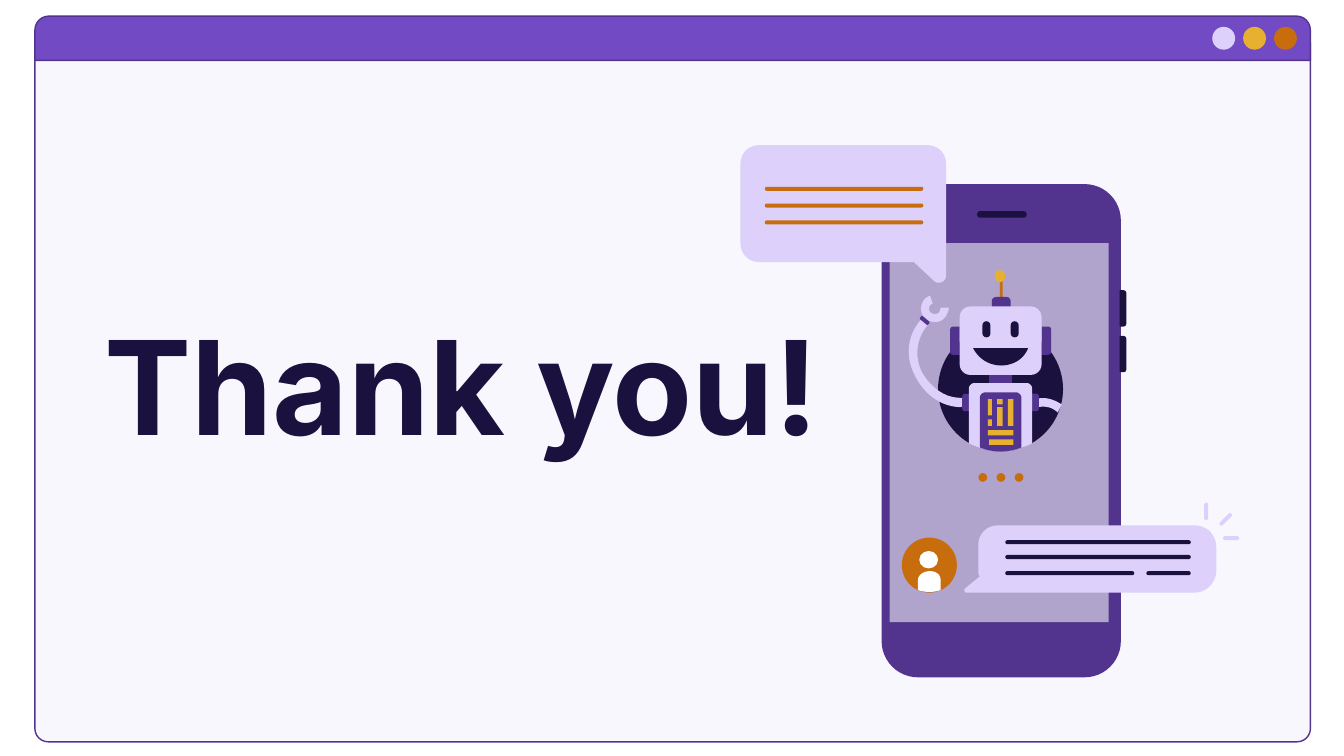
from lxml.etree import SubElement
from pptx import Presentation
from pptx.dml.color import RGBColor
from pptx.enum.shapes import MSO_SHAPE as Preset
from pptx.enum.text import MSO_ANCHOR as Anchor, PP_ALIGN as Align
from pptx.oxml.ns import qn
from pptx.util import Inches, Pt

WHITE = RGBColor(0xFF, 0xFF, 0xFF)
LILAC = RGBColor(0xDD, 0xD0, 0xFB)
VIOLET = RGBColor(0x72, 0x4A, 0xC3)
PURPLE = RGBColor(0x52, 0x34, 0x8F)
NAVY = RGBColor(0x1A, 0x11, 0x3F)
ORANGE = RGBColor(0xC7, 0x6D, 0x0D)
GOLD = RGBColor(0xE7, 0xB0, 0x2F)
CURVE_STEPS = 12


def paint(part, color, opacity=None, border=None):
    """Give a shape a flat fill, an optional border and no shadow."""
    part.shadow.inherit = False
    part.fill.solid()
    part.fill.fore_color.rgb = color
    if opacity is not None:
        tint = part.fill._xPr.find(qn("a:solidFill"))[0]
        SubElement(tint, qn("a:alpha"), val=str(opacity * 1000))
    if border is None:
        part.line.fill.background()
    else:
        part.line.color.rgb = border
        part.line.width = Pt(0.75)


def add_preset(slide, preset, box, color, corners=(), turn=0, **finish):
    """Draw a preset shape in a box of left, top, width and height."""
    part = slide.shapes.add_shape(preset, *map(Inches, box))
    for index, corner in enumerate(corners):
        part.adjustments[index] = corner
    part.rotation = turn
    paint(part, color, **finish)


def add_rect(slide, box, color, **finish):
    """Draw a plain rectangle."""
    add_preset(slide, Preset.RECTANGLE, box, color, **finish)


def add_dot(slide, box, color):
    """Draw a filled ellipse."""
    add_preset(slide, Preset.OVAL, box, color)


def add_rounded(slide, box, color, radius=None, turn=0):
    """Draw a rounded rectangle, fully rounded unless a radius is given."""
    corner = 0.5 if radius is None else radius / min(box[2:])
    add_preset(slide, Preset.ROUNDED_RECTANGLE, box, color, (corner,), turn)


def add_tab(slide, box, color, turn, radius=0.02):
    """Draw a tab rounded on one side, turned about the centre of its box."""
    left, top, width, height = box
    if turn in (90, 270):
        left += (width - height) / 2
        top += (height - width) / 2
        width, height = height, width
    add_preset(slide, Preset.ROUND_2_SAME_RECTANGLE, (left, top, width, height),
               color, (radius / min(width, height), 0), turn)


def bezier(start, controls):
    """Return points along a cubic curve given by six control values."""
    knots = [start, *zip(controls[::2], controls[1::2])]
    points = []
    for step in range(1, CURVE_STEPS + 1):
        t = step / CURVE_STEPS
        weights = ((1 - t) ** 3, 3 * t * (1 - t) ** 2, 3 * t * t * (1 - t), t ** 3)
        points.append(tuple(sum(w * knot[axis] for w, knot in zip(weights, knots))
                            for axis in (0, 1)))
    return points


def add_outline(slide, color, *segments):
    """Draw a closed outline of points (two values) and curves (six values)."""
    points = [segments[0]]
    for segment in segments[1:]:
        points += [segment] if len(segment) == 2 else bezier(points[-1], segment)
    corners = [(Inches(x), Inches(y)) for x, y in points]
    builder = slide.shapes.build_freeform(*corners[0])
    builder.add_line_segments(corners[1:], close=True)
    paint(builder.convert_to_shape(), color)


def add_text(slide, box, text, size, color, font="Inter", bold=False):
    """Write one left-aligned line of text."""
    frame = slide.shapes.add_textbox(*map(Inches, box)).text_frame
    frame.word_wrap = True
    frame.vertical_anchor = Anchor.TOP
    frame.margin_left = frame.margin_right = Inches(0.1)
    frame.margin_top = frame.margin_bottom = Inches(0.1)
    paragraph = frame.paragraphs[0]
    paragraph.alignment = Align.LEFT
    run = paragraph.add_run()
    run.text = text
    run.font.name, run.font.size, run.font.bold = font, Pt(size), bold
    run.font.color.rgb = color


def add_window(slide):
    """Draw the browser window with its title bar and three buttons."""
    for box, color, corners, opacity in (
            ((0.26, 0.32, 9.49, 5.2), LILAC, (0, 0.019), 15),
            ((0.26, 0.12, 9.49, 0.33), VIOLET, (0.312, 0), None)):
        add_preset(slide, Preset.ROUND_2_SAME_RECTANGLE, box, color, corners,
                   opacity=opacity, border=PURPLE)
    for index, color in enumerate((LILAC, GOLD, ORANGE)):
        add_dot(slide, (9.02 + 0.23 * index, 0.2, 0.17, 0.17), color)


def add_phone(slide):
    """Draw the phone with its side keys, speaker, screen and typing dots."""
    add_rounded(slide, (6.56, 1.37, 1.78, 3.67), PURPLE, 0.27)
    for top in (2.16, 2.5):
        add_tab(slide, (8.33, top, 0.05, 0.27), NAVY, 90)
    add_rounded(slide, (7.27, 1.57, 0.37, 0.05), NAVY)
    add_rect(slide, (6.62, 1.81, 1.63, 2.82), WHITE, opacity=55)
    for index in range(3):
        add_dot(slide, (7.28 + 0.135 * index, 3.52, 0.065, 0.065), ORANGE)


def add_reply(slide):
    """Draw the lower speech bubble with its lines and sparks."""
    add_outline(slide, LILAC, (8.89, 3.91), (7.42, 3.91),
                (7.35, 3.91, 7.28, 3.97, 7.28, 4.05), (7.28, 4.27), (7.29, 4.29),
                (7.18, 4.38), (7.17, 4.39, 7.18, 4.41, 7.19, 4.41), (8.89, 4.41),
                (8.98, 4.41, 9.05, 4.33, 9.05, 4.25), (9.05, 4.07),
                (9.05, 3.98, 8.98, 3.91, 8.89, 3.91))
    for box, turn in (((8.96, 3.74, 0.03, 0.13), 0), ((9.06, 3.85, 0.12, 0.03), 315),
                      ((9.1, 3.99, 0.12, 0.03), 0)):
        add_rounded(slide, box, LILAC, turn=turn)
    for left, top, width in ((7.48, 4.02, 1.38), (7.48, 4.13, 1.38),
                             (7.48, 4.25, 0.96), (8.53, 4.25, 0.33)):
        add_rounded(slide, (left, top, width, 0.03), NAVY)


def add_robot_head(slide):
    """Draw the neck, antenna, ears, head and face over the round backdrop."""
    add_dot(slide, (6.98, 2.43, 0.93, 0.93), NAVY)
    add_rect(slide, (7.36, 2.78, 0.17, 0.09), PURPLE)
    add_rect(slide, (7.44, 2.06, 0.02, 0.17), ORANGE)
    add_dot(slide, (7.4, 2.01, 0.08, 0.09), GOLD)
    add_tab(slide, (7.38, 2.21, 0.14, 0.08), PURPLE, 0, 0.03)
    for left, turn in ((7.07, 270), (7.75, 90)):
        add_tab(slide, (left, 2.43, 0.07, 0.21), PURPLE, turn)
    add_rounded(slide, (7.14, 2.28, 0.61, 0.51), LILAC, 0.08)
    for left in (7.31, 7.52):
        add_rounded(slide, (left, 2.39, 0.06, 0.12), NAVY)
    add_outline(slide, NAVY, (7.65, 2.59), (7.62, 2.67, 7.54, 2.72, 7.45, 2.72),
                (7.36, 2.72, 7.28, 2.67, 7.24, 2.59))


def add_robot_body(slide):
    """Draw the waving arm, the other arm, the torso and its panel."""
    add_outline(slide, LILAC, (7.15, 3.03), (7.01, 3.03, 6.88, 2.94, 6.81, 2.8),
                (6.73, 2.65, 6.75, 2.49, 6.86, 2.37), (6.91, 2.41),
                (6.82, 2.51, 6.8, 2.65, 6.86, 2.77),
                (6.93, 2.89, 7.04, 2.97, 7.17, 2.96), (7.17, 3.02))
    add_outline(slide, LILAC, (6.9, 2.38), (6.85, 2.35, 6.84, 2.29, 6.87, 2.24),
                (6.88, 2.22, 6.9, 2.21, 6.92, 2.2), (6.94, 2.26),
                (6.93, 2.26, 6.93, 2.27, 6.92, 2.27),
                (6.91, 2.29, 6.91, 2.32, 6.93, 2.33),
                (6.95, 2.34, 6.98, 2.34, 6.99, 2.32), (7, 2.29), (7.06, 2.29),
                (7.06, 2.31, 7.05, 2.33, 7.04, 2.35),
                (7.01, 2.4, 6.95, 2.41, 6.9, 2.38))
    add_rounded(slide, (6.84, 2.37, 0.08, 0.03), PURPLE, 0.01, turn=40)
    add_tab(slide, (7.16, 2.93, 0.07, 0.13), PURPLE, 270)
    add_outline(slide, LILAC, (7.71, 2.97), (7.72, 3.03),
                (7.78, 3.02, 7.83, 3.03, 7.87, 3.07), (7.9, 3.01),
                (7.84, 2.97, 7.77, 2.95, 7.71, 2.97))
    add_tab(slide, (7.66, 2.93, 0.07, 0.13), PURPLE, 90)
    for left, right, top, side, sag, color in (
            (7.21, 7.68, 2.85, 3.3, 3.38, LILAC), (7.29, 7.6, 2.92, 3.33, 3.37, PURPLE)):
        third = (right - left) / 3
        add_outline(slide, color, (right - 0.04, top), (left + 0.04, top),
                    (left + 0.02, top, left, top + 0.02, left, top + 0.04), (left, side),
                    (left + third, sag, right - third, sag, right, side),
                    (right, top + 0.04),
                    (right, top + 0.02, right - 0.02, top, right - 0.04, top))
    for bar in ((7.5, 2.97, 0.04, 0.2), (7.42, 2.97, 0.04, 0.04), (7.42, 3.03, 0.04, 0.14),
                (7.35, 2.97, 0.03, 0.12), (7.35, 3.12, 0.03, 0.05),
                (7.35, 3.2, 0.19, 0.04), (7.36, 3.27, 0.18, 0.04)):
        add_rect(slide, bar, GOLD)


def add_message(slide):
    """Draw the upper speech bubble with its three lines."""
    add_outline(slide, LILAC, (6.9, 1.08), (5.65, 1.08),
                (5.57, 1.08, 5.51, 1.14, 5.51, 1.22), (5.51, 1.81),
                (5.51, 1.89, 5.57, 1.95, 5.65, 1.95), (6.8, 1.95), (6.95, 2.09),
                (6.98, 2.12, 7.04, 2.1, 7.04, 2.05), (7.04, 1.22),
                (7.04, 1.14, 6.98, 1.08, 6.9, 1.08))
    for index in range(3):
        add_rounded(slide, (5.69, 1.39 + 0.125 * index, 1.18, 0.03), ORANGE)


def add_user(slide):
    """Draw the round user badge."""
    add_dot(slide, (6.71, 4, 0.41, 0.41), ORANGE)
    add_dot(slide, (6.84, 4.1, 0.14, 0.13), WHITE)
    add_outline(slide, WHITE, (6.92, 4.25), (6.87, 4.25, 6.83, 4.28, 6.83, 4.32),
                (6.83, 4.39), (6.88, 4.41, 6.95, 4.41, 7, 4.39), (7, 4.32),
                (7, 4.28, 6.97, 4.25, 6.92, 4.25))


def main():
    """Build the closing slide and save it."""
    deck = Presentation()
    deck.slide_width, deck.slide_height = Inches(10), Inches(10 * 9 / 16)
    slide = deck.slides.add_slide(deck.slide_layouts[6])
    add_window(slide)
    add_text(slide, (0.68, 2.17, 6.23, 0.63), "Thank you!", 70, NAVY, bold=True)
    for draw in (add_phone, add_reply, add_robot_head, add_robot_body, add_message, add_user):
        draw(slide)
    deck.save("out.pptx")


if __name__ == "__main__":
    main()
